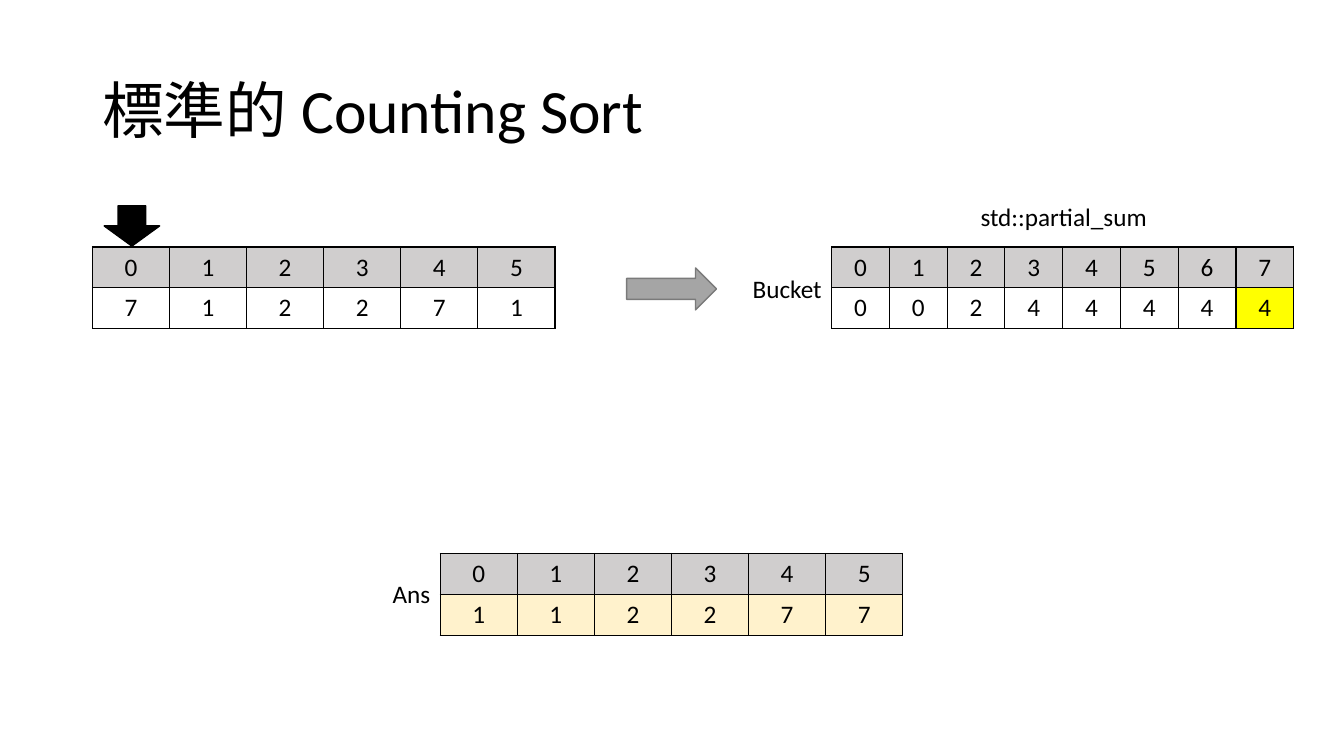
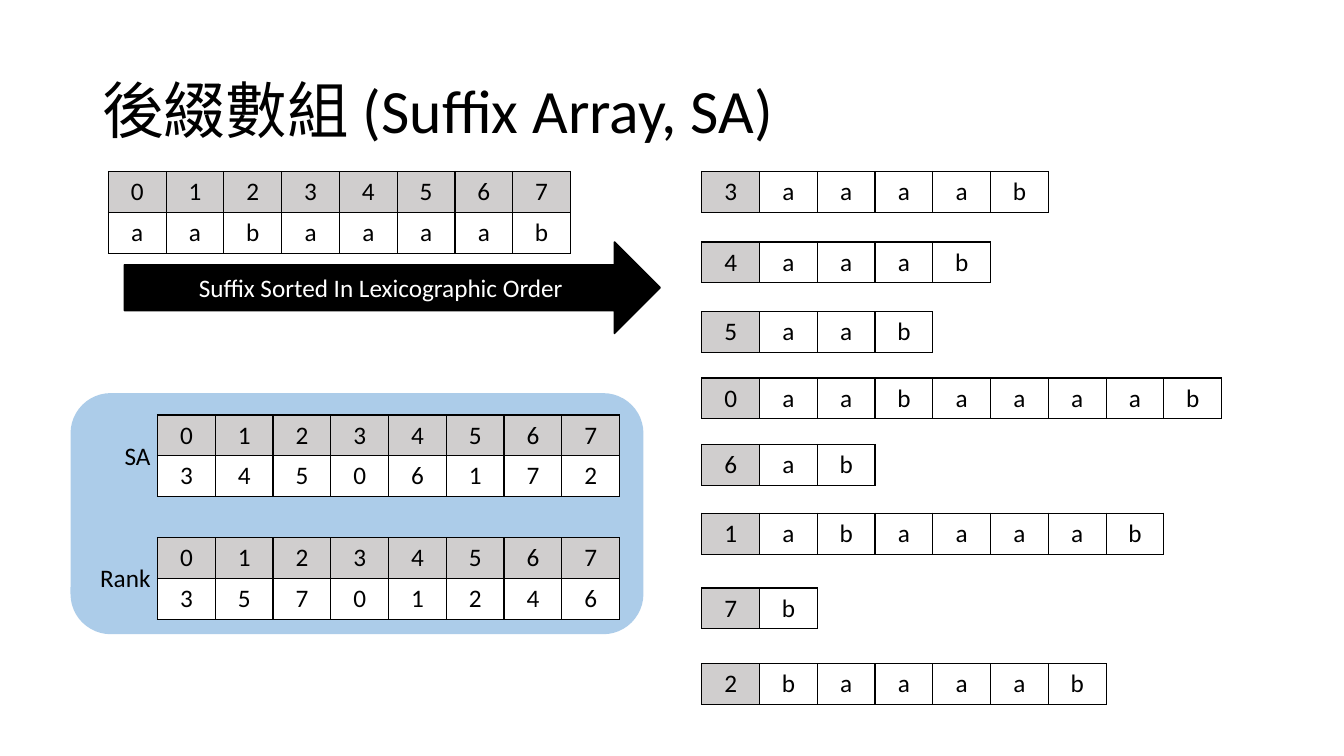
from pptx import Presentation
from pptx.dml.color import RGBColor
from pptx.enum.shapes import MSO_SHAPE as Shape
from pptx.enum.text import MSO_ANCHOR as Anchor, PP_ALIGN as Align
from pptx.oxml import parse_xml
from pptx.oxml.ns import nsdecls, qn
from pptx.util import Inches, Pt

COLORS = {
    "black": "000000",
    "white": "FFFFFF",
    "index": "D0CECE",
    "answer": "FFF2CC",
    "highlight": "FFFF00",
    "arrow": "A5A5A5",
    "arrow_edge": "7A7A7A",
    "panel": "5B9BD5",
}
COLUMNS, ROWS = 160, 90
WIDTH, HEIGHT = Inches(13.33), Inches(7.5)
ROW_HEIGHT = 4.87
WIDE_CELL, NARROW_CELL = 9.18, 6.88


class Board:
    font_name = "Calibri"
    text_size = 18
    title_size = 44

    def __init__(self):
        self.presentation = Presentation()
        self.presentation.slide_width = WIDTH
        self.presentation.slide_height = HEIGHT
        self.slide = None

    def across(self, columns):
        return round(columns * WIDTH / COLUMNS)

    def down(self, rows):
        return round(rows * HEIGHT / ROWS)

    def box(self, left, top, width, height):
        return self.across(left), self.down(top), self.across(width), self.down(height)

    def color(self, name):
        return RGBColor.from_string(COLORS[name])

    def set_text(self, frame, text, size=text_size, color="black", align=Align.CENTER):
        paragraph = frame.paragraphs[0]
        paragraph.text = text
        paragraph.alignment = align
        paragraph.font.name = self.font_name
        paragraph.font.size = Pt(size)
        paragraph.font.color.rgb = self.color(color)
        return paragraph

    def new_slide(self, title):
        self.slide = self.presentation.slides.add_slide(self.presentation.slide_layouts[6])
        frame = self.slide.shapes.add_textbox(*self.box(11, 4.8, 138, 17.4)).text_frame
        frame.word_wrap = True
        frame.vertical_anchor = Anchor.MIDDLE
        self.set_text(frame, title, self.title_size, align=Align.LEFT).line_spacing = 0.9

    def label(self, text, right, top, width=24):
        box = self.box(right - width, top, width, 4.8)
        frame = self.slide.shapes.add_textbox(*box).text_frame
        frame.word_wrap = True
        self.set_text(frame, text, align=Align.RIGHT)

    def shape(self, kind, box, fill, line=None, text="", opacity=100):
        shape = self.slide.shapes.add_shape(kind, *self.box(*box))
        shape.shadow.inherit = False
        shape.fill.solid()
        shape.fill.fore_color.rgb = self.color(fill)
        if opacity < 100:
            solid = shape.element.spPr.find(qn("a:solidFill"))
            solid[0].append(parse_xml(f'<a:alpha {nsdecls("a")} val="{opacity * 1000}"/>'))
        if line:
            shape.line.color.rgb = self.color(line)
            shape.line.width = Pt(1)
        else:
            shape.line.fill.background()
        if text:
            shape.text_frame.vertical_anchor = Anchor.MIDDLE
            self.set_text(shape.text_frame, text, color="white")

    def cell(self, cell, text, fill):
        properties = cell._tc.get_or_add_tcPr()
        for side in "LRTB":
            properties.append(parse_xml(
                f'<a:ln{side} {nsdecls("a")} w="12700"><a:solidFill>'
                f'<a:srgbClr val="{COLORS["black"]}"/></a:solidFill></a:ln{side}>'))
        cell.fill.solid()
        cell.fill.fore_color.rgb = self.color(fill)
        cell.vertical_anchor = Anchor.MIDDLE
        self.set_text(cell.text_frame, str(text))

    def table(self, left, top, cell_width, rows):
        count = len(rows[0])
        box = self.box(left, top, cell_width * count, ROW_HEIGHT * len(rows))
        table = self.slide.shapes.add_table(len(rows), count, *box).table
        table.first_row = table.horz_banding = False
        for column in table.columns:
            column.width = self.across(cell_width)
        for row_number, row in enumerate(rows):
            table.rows[row_number].height = self.down(ROW_HEIGHT)
            for column_number, (text, fill) in enumerate(row):
                self.cell(table.cell(row_number, column_number), text, fill)

    def array(self, left, top, cell_width, values, fill="white", last_fill=None):
        indices = [(index, "index") for index in range(len(values))]
        cells = [(value, fill) for value in values]
        if last_fill:
            cells[-1] = values[-1], last_fill
        self.table(left, top, cell_width, [indices, cells])

    def suffix(self, left, top, start, text):
        row = [(start, "index")] + [(letter, "white") for letter in text[start:]]
        self.table(left, top, NARROW_CELL, [row])


def counting_sort(board):
    numbers = [7, 1, 2, 2, 7, 1]
    board.new_slide("標準的 Counting Sort")
    board.array(11, 29.4, WIDE_CELL, numbers)
    board.array(99, 29.4, NARROW_CELL, [0, 0, 2, 4, 4, 4, 4, 4], last_fill="highlight")
    board.label("Bucket", 99, 32)
    board.shape(Shape.RIGHT_ARROW, (74.6, 31.9, 10.7, 5), "arrow", "arrow_edge")
    board.label("std::partial_sum", 137.7, 23.4)
    board.array(52.4, 65.9, WIDE_CELL, sorted(numbers), fill="answer")
    board.label("Ans", 52.4, 68.3)
    board.shape(Shape.DOWN_ARROW, (12.4, 24.5, 6.6, 4.8), "black", "black")


def suffix_array(board):
    text = "aabaaaab"
    order = sorted(range(len(text)), key=lambda start: text[start:])
    rank = [order.index(start) for start in range(len(text))]
    suffix_tops = [20.4, 28.8, 37.1, 45, 52.9, 61.1, 70, 79]

    board.new_slide("後綴數組 (Suffix Array, SA)")
    board.shape(Shape.ROUNDED_RECTANGLE, (8.4, 46.8, 68.2, 28.7), "panel", opacity=50)
    board.array(12.9, 20.4, NARROW_CELL, text)
    for start, top in zip(order, suffix_tops):
        board.suffix(83.55, top, start, text)
    board.shape(Shape.RIGHT_ARROW, (14.8, 28.8, 63.8, 10.9), "black", "black",
                "Suffix Sorted In Lexicographic Order")
    for name, values, top in (("SA", order, 49.4), ("Rank", rank, 64)):
        board.array(18.75, top, NARROW_CELL, values)
        board.label(name, 19.1, top + 2.4, width=12)


def main():
    board = Board()
    counting_sort(board)
    suffix_array(board)
    board.presentation.save("out.pptx")


if __name__ == "__main__":
    main()
